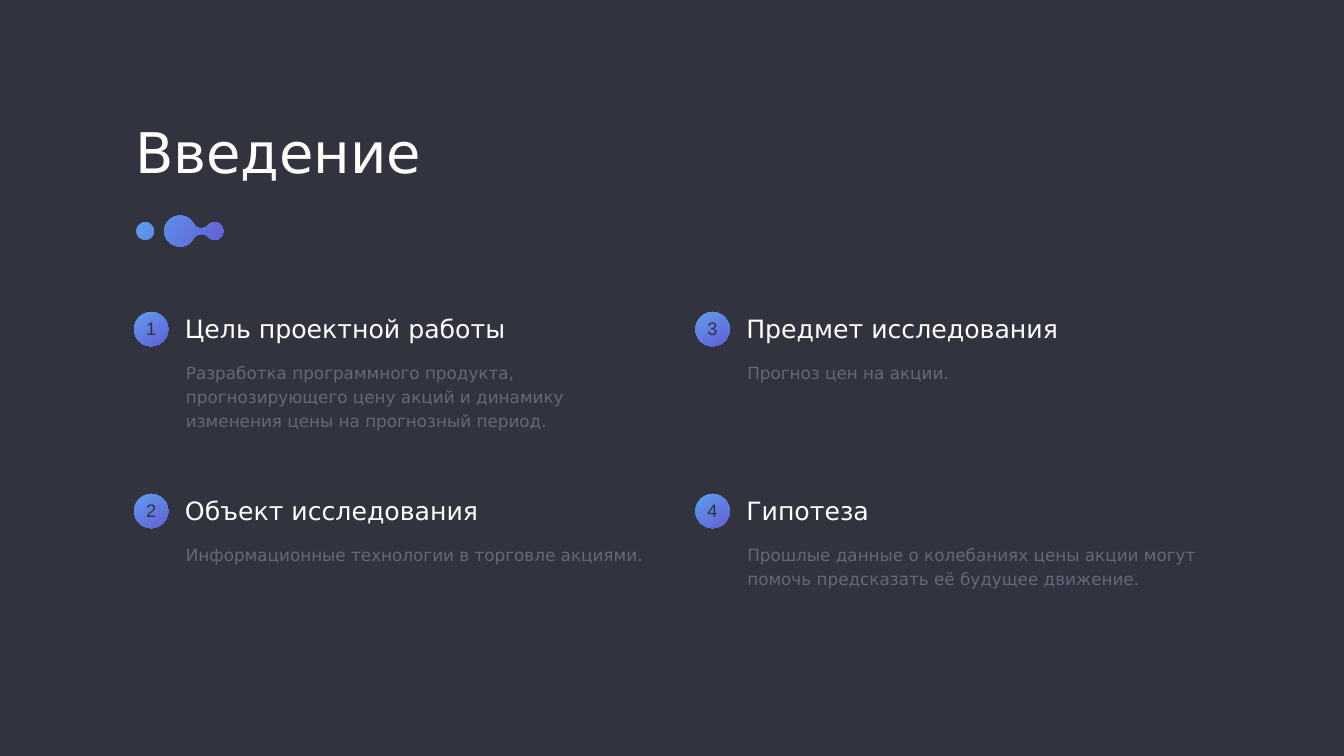
import pptx
import pptx.util
import pptx.dml.color
import pptx.enum.shapes
import pptx.enum.text
import pptx.oxml.ns

PX = 9144  # EMU per px, 100 px to the inch
ALIGN = pptx.enum.text.PP_ALIGN
ANCHOR = pptx.enum.text.MSO_ANCHOR

COLORS = {
    "background": "31333F",
    "heading": "FFFFFF",
    "body": "646979",
    "gradient_start": "5E9EEE",
    "gradient_end": "635ED6",
}

# Text and body height of each item, down the first column, then the second
ITEMS = [
    ("Цель проектной работы",
     "Разработка программного продукта, прогнозирующего цену акций "
     "и динамику изменения цены на прогнозный период.", 153),
    ("Объект исследования",
     "Информационные технологии в торговле акциями.", 55),
    ("Предмет исследования", "Прогноз цен на акции.", 55),
    ("Гипотеза",
     "Прошлые данные о колебаниях цены акции могут помочь предсказать "
     "её будущее движение.", 105),
]
ROWS = 2
GRID_LEFT, GRID_TOP = 265, 616
COLUMN_STEP, ROW_STEP = 1114, 361

# Ornament outlines in px: a start point, then cubic curves (x1, y1, x2, y2, x, y)
LINKED_DROPS = ((358, 428), [
    (341, 427, 326, 441, 326, 458), (326, 475, 339, 488, 356, 489),
    (368, 490, 379, 483, 384, 473), (387, 469, 391, 466, 395, 465),
    (402, 463, 408, 465, 413, 470), (423, 482, 443, 475, 443, 459),
    (443, 442, 423, 435, 413, 447), (409, 451, 404, 453, 399, 453),
    (393, 453, 387, 449, 384, 444), (379, 434, 369, 428, 358, 428),
])
SINGLE_DROP = ((288, 441), [
    (284, 441, 279, 443, 276, 446), (269, 453, 269, 464, 276, 471),
    (283, 477, 294, 477, 300, 471), (307, 464, 307, 453, 300, 446),
    (297, 443, 293, 441, 288, 441),
])
CURVE_STEPS = 8
SUBPIXELS = 100


def rgb(name):
    return pptx.dml.color.RGBColor.from_string(COLORS[name])


def px(*lengths):
    return [pptx.util.Emu(length * PX) for length in lengths]


def fill_gradient(shape, clockwise_angle):
    shape.shadow.inherit = False
    shape.line.fill.background()
    shape.fill.gradient()
    shape.fill.gradient_angle = 360 - clockwise_angle
    for stop, name in zip(shape.fill.gradient_stops, ("gradient_start", "gradient_end")):
        stop.color.rgb = rgb(name)


def write_text(box, text, size, color, font="DejaVu Sans",
               align=ALIGN.LEFT, anchor=ANCHOR.MIDDLE, line_spacing=1.0):
    frame = box.text_frame
    frame.word_wrap = True
    frame.auto_size = pptx.enum.text.MSO_AUTO_SIZE.SHAPE_TO_FIT_TEXT
    frame.vertical_anchor = anchor
    (frame.margin_left, frame.margin_top,
     frame.margin_right, frame.margin_bottom) = px(6, 6, 6, 6)
    frame.text = text
    paragraph = frame.paragraphs[0]
    paragraph.alignment = align
    paragraph.line_spacing = line_spacing
    paragraph.font.name = font
    paragraph.font.size = pptx.util.Pt(size)
    paragraph.font.color.rgb = rgb(color)


def add_title(slide, text):
    title = slide.shapes.title
    title.left, title.top, title.width, title.height = px(262, 226, 1318, 146)
    write_text(title, text, 80, "heading")


def curve_points(start, curves):
    """Points along a chain of cubic curves, in subpixels."""
    points = []
    x0, y0 = start
    for x1, y1, x2, y2, x3, y3 in curves:
        for step in range(1, CURVE_STEPS + 1):
            t = step / CURVE_STEPS
            u = 1 - t
            points.append(tuple(
                round(SUBPIXELS * (u**3 * a + 3 * u * u * t * b + 3 * u * t * t * c + t**3 * d))
                for a, b, c, d in ((x0, x1, x2, x3), (y0, y1, y2, y3))))
        x0, y0 = x3, y3
    return points


def add_ornament(slide):
    drops, dot = curve_points(*LINKED_DROPS), curve_points(*SINGLE_DROP)
    # Each outline is closed, so its last point is also its start
    builder = slide.shapes.build_freeform(*drops[-1], scale=PX / SUBPIXELS)
    builder.add_line_segments(drops, close=True)
    builder.move_to(*dot[-1])
    builder.add_line_segments(dot, close=True)
    fill_gradient(builder.convert_to_shape(), 34)


def add_item(slide, number, left, top, heading, body, body_height):
    shapes = slide.shapes
    # Body text
    box = shapes.add_textbox(*px(left + 98, top + 89, 947, body_height))
    write_text(box, body, 24, "body", anchor=ANCHOR.TOP, line_spacing=1.2)
    # Numbered badge
    badge = shapes.add_shape(pptx.enum.shapes.MSO_SHAPE.OVAL, *px(left + 1, top + 3, 68, 68))
    fill_gradient(badge, 57)
    box = shapes.add_textbox(*px(left, top + 8, 70, 53))
    write_text(box, str(number), 26, "background", font="Arial", align=ALIGN.CENTER)
    # Heading
    box = shapes.add_textbox(*px(left + 96, top, 752, 72))
    write_text(box, heading, 36, "heading")


def main():
    deck = pptx.Presentation()
    deck.slide_width, deck.slide_height = px(2667, 1500)
    slide = deck.slides.add_slide(deck.slide_layouts.get_by_name("Title Only"))
    slide.background.fill.solid()
    slide.background.fill.fore_color.rgb = rgb("background")

    add_title(slide, "Введение")
    add_ornament(slide)
    for index, item in enumerate(ITEMS):
        column, row = divmod(index, ROWS)
        add_item(slide, index + 1, GRID_LEFT + column * COLUMN_STEP,
                 GRID_TOP + row * ROW_STEP, *item)

    deck.save("out.pptx")


if __name__ == "__main__":
    main()
